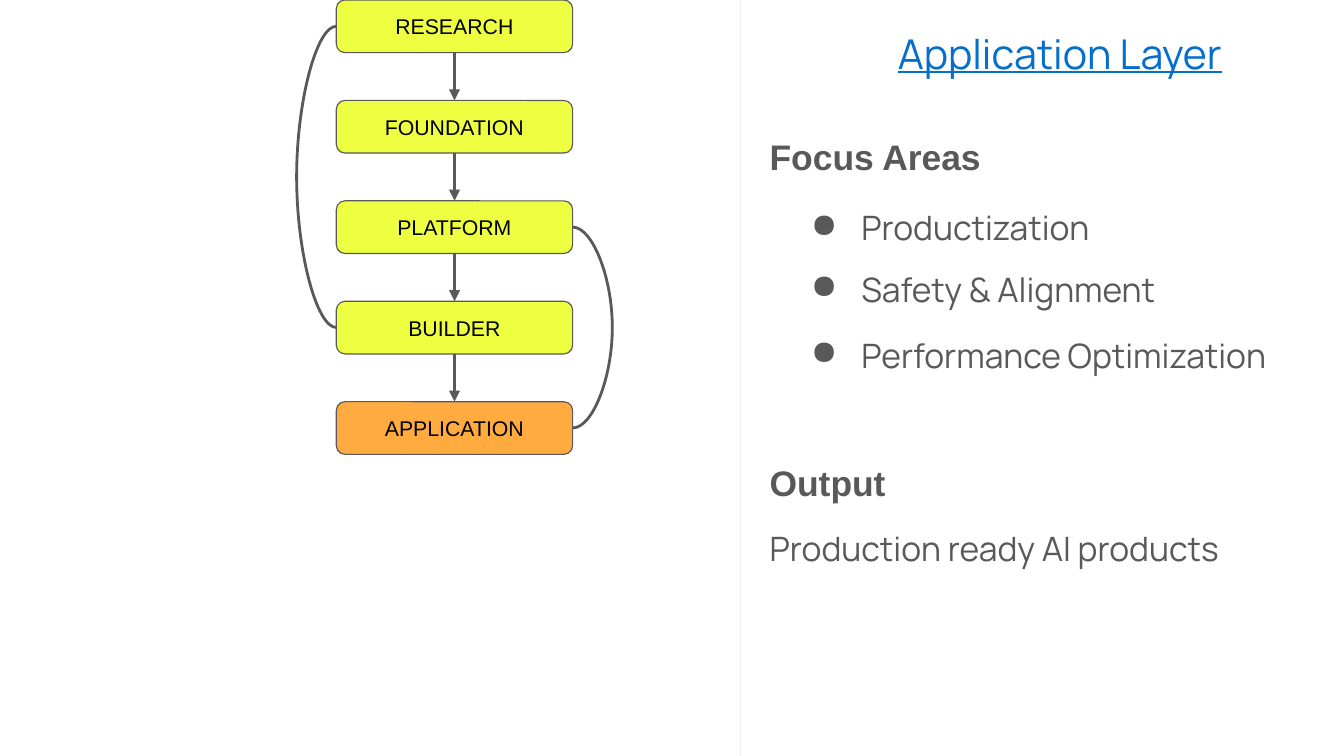
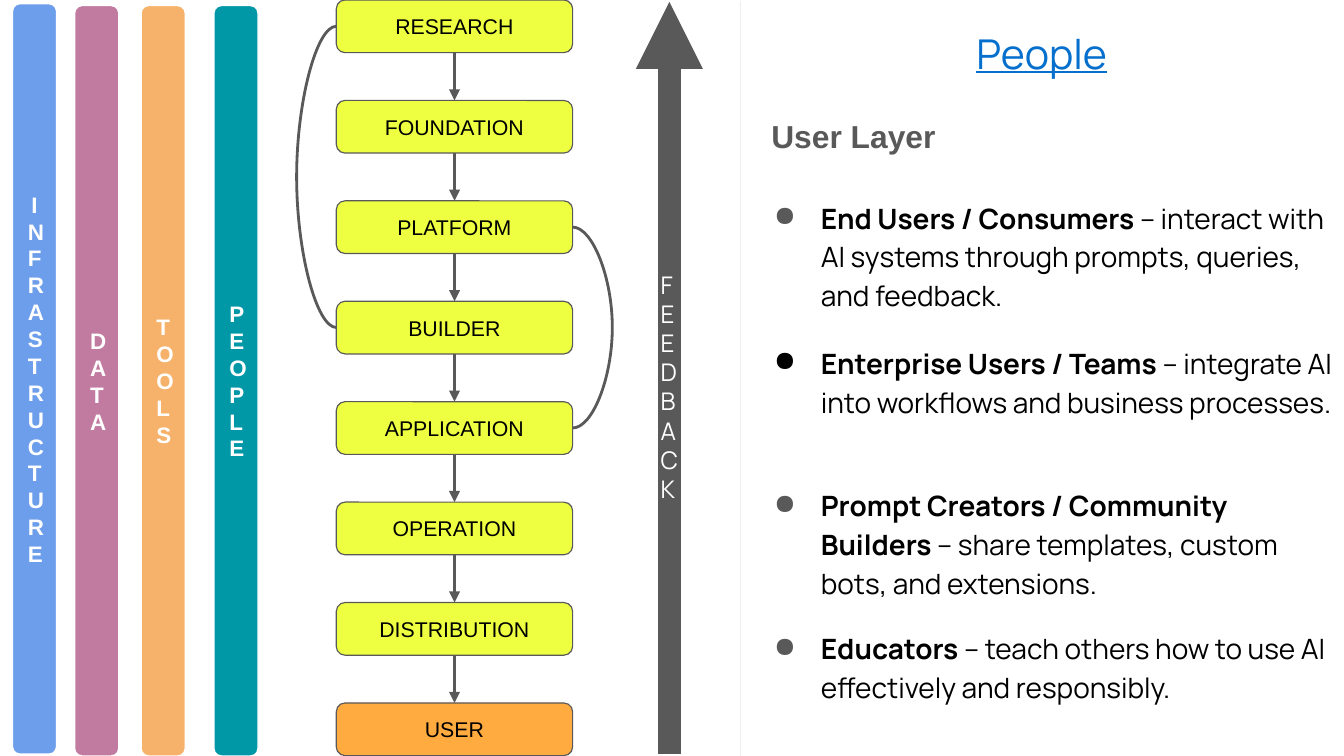
"""Build two slides on the layers of an AI stack, from research to user."""
from dataclasses import dataclass

from lxml import etree
from pptx import Presentation
from pptx.dml.color import RGBColor
from pptx.enum import shapes, text
from pptx.oxml import ns
from pptx.util import Pt


@dataclass(frozen=True)
class Theme:
    heading_font: str = "Arial"
    body_font: str = "Manrope"
    black: str = "000000"
    white: str = "FFFFFF"
    gray: str = "595959"
    divider: str = "EEEEEE"
    link: str = "056FCD"
    layer: str = "EEFF41"
    current: str = "FFAB40"
    blue: str = "6D9EEB"
    pink: str = "C27BA0"
    orange: str = "F6B26B"
    teal: str = "0097A7"
    title_size: float = 22
    heading_size: float = 19
    body_size: float = 18
    subheading_size: float = 17
    detail_size: float = 15
    feedback_size: float = 13
    bar_size: float = 12
    layer_size: float = 11.4


theme = Theme()


def add_text(slide, content, box, *, size, font=theme.body_font, color=theme.black,
             bold=False, underline=None, lead="", fill=None, outline=theme.gray,
             outline_width=0.61, inset=7.2, bullet=None, hanging=27, spacing=None):
    left, top, width, height = map(Pt, box)
    if fill:
        shape = slide.shapes.add_shape(
            shapes.MSO_SHAPE.ROUNDED_RECTANGLE, left, top, width, height)
        shape.shadow.inherit = False
        shape.fill.solid()
        shape.fill.fore_color.rgb = RGBColor.from_string(fill)
        shape.line.color.rgb = RGBColor.from_string(outline)
        shape.line.width = Pt(outline_width)
    else:
        shape = slide.shapes.add_textbox(left, top, width, height)
    frame = shape.text_frame
    frame.word_wrap = True
    frame.vertical_anchor = text.MSO_ANCHOR.MIDDLE if fill else text.MSO_ANCHOR.TOP
    frame.margin_left = frame.margin_right = Pt(inset)
    frame.margin_top = frame.margin_bottom = Pt(inset)
    for index, words in enumerate(content.split("\n")):
        paragraph = frame.add_paragraph() if index else frame.paragraphs[0]
        paragraph.alignment = text.PP_ALIGN.CENTER if fill else text.PP_ALIGN.LEFT
        if bullet:
            properties = paragraph._p.get_or_add_pPr()
            properties.set("marL", str(Pt(36)))
            properties.set("indent", str(-Pt(hanging)))
            bullet_color = etree.SubElement(properties, ns.qn("a:buClr"))
            etree.SubElement(bullet_color, ns.qn("a:srgbClr"), val=bullet)
            etree.SubElement(properties, ns.qn("a:buChar"), char="●")
        if spacing:
            paragraph.line_spacing = spacing
        for part, strong in ((lead, True), (words, bold)):
            if part:
                run = paragraph.add_run()
                run.text = part
                run.font.name = font
                run.font.size = Pt(size)
                run.font.bold = strong
                run.font.underline = underline
                run.font.color.rgb = RGBColor.from_string(color)
    return shape


def add_line(slide, start, end, *, color=theme.gray, width=1.5, arrow=False, bulge=0):
    kind = shapes.MSO_CONNECTOR.CURVE if bulge else shapes.MSO_CONNECTOR.STRAIGHT
    connector = slide.shapes.add_connector(kind, *map(Pt, (*start, *end)))
    connector.line.color.rgb = RGBColor.from_string(color)
    connector.line.width = Pt(width)
    properties = connector.element.spPr
    if arrow:
        etree.SubElement(connector.line._get_or_add_ln(), ns.qn("a:tailEnd"), type="triangle")
    if bulge:
        ratio = round(100000 * Pt(bulge) / connector.width)
        guides = properties.find(ns.qn("a:prstGeom")).find(ns.qn("a:avLst"))
        etree.SubElement(guides, ns.qn("a:gd"), name="adj1", fmla=f"val {ratio}")
    etree.SubElement(properties, ns.qn("a:effectLst"))
    return connector


presentation = Presentation()
presentation.slide_width = Pt(720)
presentation.slide_height = Pt(405)

layers = ["RESEARCH", "FOUNDATION", "PLATFORM", "BUILDER",
          "APPLICATION", "OPERATION", "DISTRIBUTION", "USER"]
layer_left, layer_width, layer_height, layer_pitch = 180.2, 126.6, 28.2, 53.8
layer_right = layer_left + layer_width
middles = [row * layer_pitch + layer_height / 2 for row in range(len(layers))]
loop_bulge, loop_span = 18.75, 0.05

slides = []
for title, title_left, layer_count in (("Application Layer", 474, 5), ("People", 516, 8)):
    slide = presentation.slides.add_slide(presentation.slide_layouts[6])
    slides.append(slide)
    add_line(slide, (396.7, 0.5), (396.7, 405), color=theme.divider, width=0.75)
    add_text(slide, title, (title_left, 8, 232.6, 30), size=theme.title_size,
             color=theme.link, underline=True)
    previous = None
    for row, name in enumerate(layers[:layer_count]):
        fill = theme.current if row == layer_count - 1 else theme.layer
        box = add_text(slide, name, (layer_left, row * layer_pitch, layer_width, layer_height),
                       size=theme.layer_size, font=theme.heading_font, fill=fill, inset=5.8)
        if previous:
            arrow = add_line(slide, (0, 0), (0, 0), arrow=True)
            arrow.begin_connect(previous, 2)
            arrow.end_connect(box, 0)
        previous = box
    for edge, first, last, bulge in ((layer_left, 0, 3, -loop_bulge),
                                     (layer_right, 2, 4, loop_bulge)):
        add_line(slide, (edge, middles[first]), (edge + loop_span, middles[last]), bulge=bulge)

application, people = slides

for heading, top in (("Focus Areas", 65), ("Output", 239.8)):
    add_text(application, heading, (405.2, top, 134, 28), size=theme.heading_size,
             font=theme.heading_font, color=theme.gray, bold=True)
for area, top in (("Productization", 103.7), ("Safety & Alignment", 136.8),
                  ("Performance Optimization", 172.1)):
    add_text(application, area, (418.3, top, 301.7, 48), size=theme.body_size,
             color=theme.gray, bullet=theme.gray)
add_text(application, "Production ready AI products", (405.2, 275.8, 301.7, 75),
         size=theme.body_size, color=theme.gray)

add_line(people, (358.6, 404), (358.6, 1), width=12, arrow=True)
add_text(people, "\n".join("FEEDBACK"), (346.8, 137.5, 25.2, 155.5),
         size=theme.feedback_size, color=theme.white)
for name, left, top, fill in (("INFRASTRUCTURE", 6.7, 2, theme.blue),
                              ("DATA", 40, 3, theme.pink),
                              ("TOOLS", 75.6, 3, theme.orange),
                              ("PEOPLE", 114.6, 3, theme.teal)):
    add_text(people, "\n".join(name), (left, top, 23.6, 402), size=theme.bar_size,
             font=theme.heading_font, color=theme.white, bold=True, fill=fill,
             outline=theme.white, outline_width=0.75)
add_text(people, "User Layer", (406.1, 55.4, 288.7, 28), size=theme.subheading_size,
         font=theme.heading_font, color=theme.gray, bold=True)
for group, role, top, height, bullet in (
        ("End Users / Consumers",
         " – interact with AI systems through prompts, queries, and feedback.",
         98, 57, theme.gray),
        ("Enterprise Users / Teams",
         " – integrate AI into workflows and business processes.",
         175.7, 74, theme.black),
        ("Prompt Creators / Community Builders",
         " – share templates, custom bots, and extensions.",
         252, 61, theme.gray),
        ("Educators",
         " – teach others how to use AI effectively and responsibly.",
         328.5, 61, theme.gray)):
    add_text(people, role, (396.7, top, 328.3, height), size=theme.detail_size,
             lead=group, bullet=bullet, hanging=25.2, spacing=1.15)

presentation.save("out.pptx")
